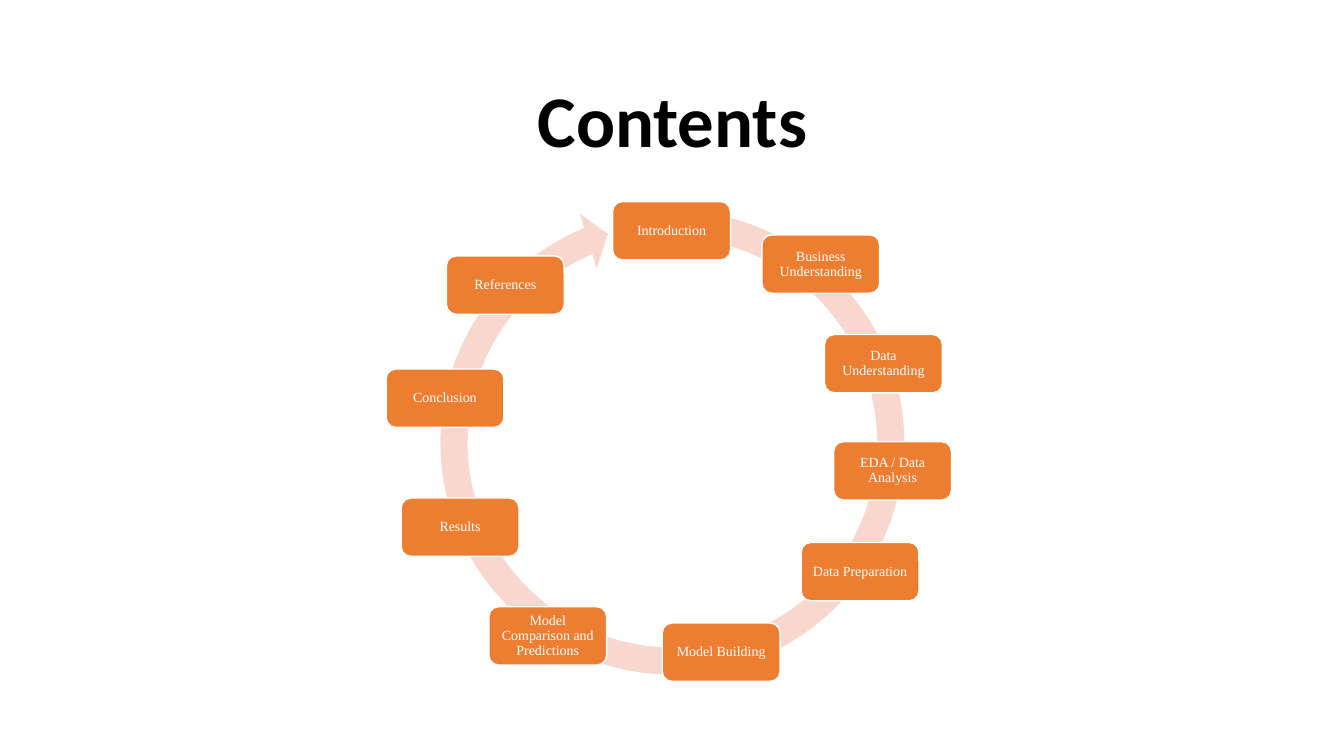
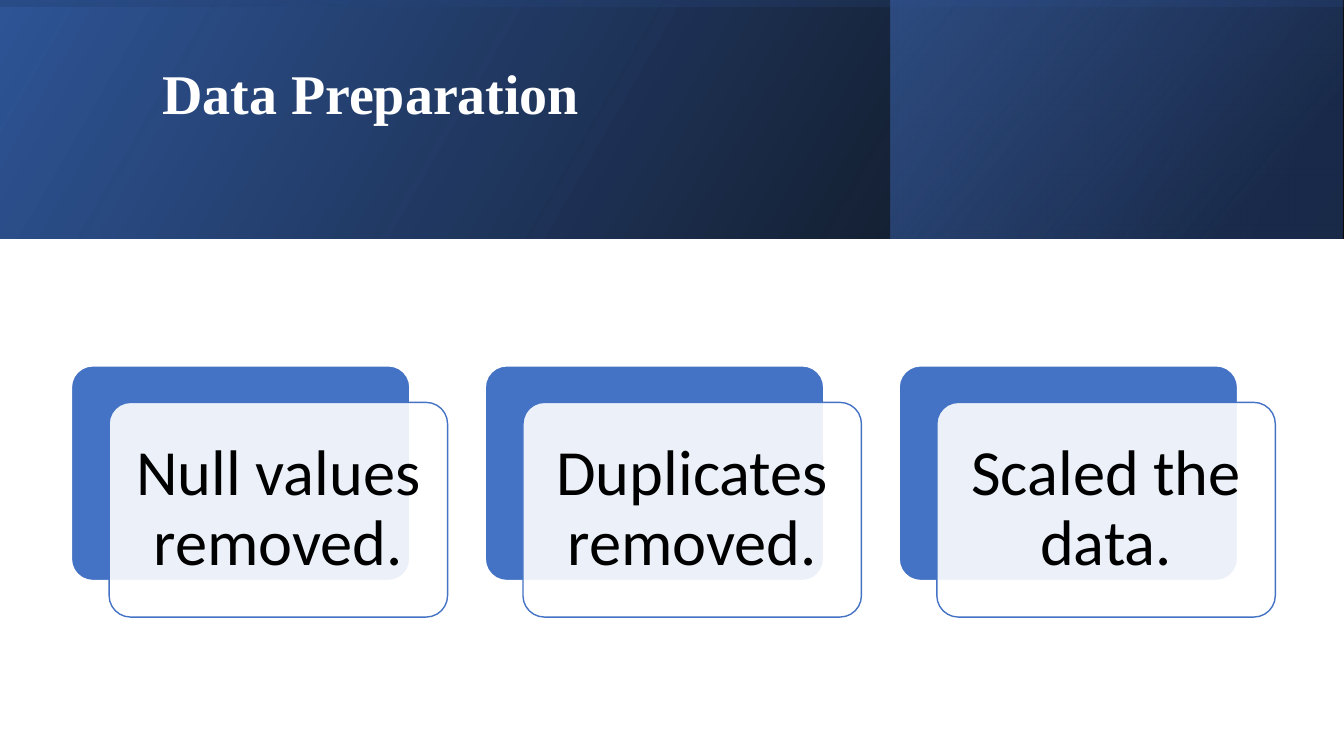
from dataclasses import dataclass

from pptx import Presentation
from pptx.dml.color import RGBColor
from pptx.enum.shapes import MSO_SHAPE
from pptx.enum.text import MSO_ANCHOR, MSO_AUTO_SIZE, PP_ALIGN
from pptx.oxml import parse_xml
from pptx.oxml.ns import nsdecls, qn
from pptx.util import Cm, Pt


@dataclass(frozen=True)
class Theme:
    white: str = "FFFFFF"
    black: str = "000000"
    orange: str = "ED7D31"
    peach: str = "F8D7CE"
    blue: str = "4472C4"
    deep_blue: str = "2F5597"
    navy: str = "203864"
    sans: str = "Calibri"
    serif: str = "Times New Roman"
    contents_size: int = 52
    heading_size: int = 40
    card_size: int = 46
    node_size: int = 10
    line_width: int = 1
    line_spacing: float = 0.9


THEME = Theme()
SLIDE_WIDTH, SLIDE_HEIGHT = 33.87, 19.05

# Contents ring: label, left, top (cm), clockwise from the top
NODES = [
    ("Introduction", 15.44, 5.08),
    ("Business Understanding", 19.2, 5.92),
    ("Data Understanding", 20.78, 8.43),
    ("EDA / Data Analysis", 21.01, 11.13),
    ("Data Preparation", 20.19, 13.67),
    ("Model Building", 16.69, 15.7),
    ("Model Comparison and Predictions", 12.32, 15.29),
    ("Results", 10.11, 12.55),
    ("Conclusion", 9.73, 9.3),
    ("References", 11.25, 6.45),
]
NODE_SIZE = (2.97, 1.47)
RING_BOX = (10.72, 4.93, 12.45, 12.45)
RING_ADJUSTMENTS = (0.055, 3.307, 148.408, 167.662, 0.058)

# Preparation steps
STEPS = ["Null values removed.", "Duplicates removed.", "Scaled the data."]
CARD_LEFT, CARD_TOP, CARD_PITCH = 1.8, 9.22, 10.43
CARD_SIZE = (8.53, 5.41)
CARD_SHIFT = (0.95, 0.92)

# Header bands: box (cm), rotation, gradient angle, stops (position, colour, opacity)
BAND_HEIGHT = 6.02
BANDS = [
    ((0, 0, SLIDE_WIDTH, BAND_HEIGHT), 0, 330,
     [(0, THEME.black, 96), (100, THEME.deep_blue, 100)]),
    ((22.45, 0, 11.38, BAND_HEIGHT), 0, 320,
     [(19, THEME.navy, 68), (100, THEME.blue, 48)]),
    (((SLIDE_WIDTH - BAND_HEIGHT) / 2, (BAND_HEIGHT - SLIDE_WIDTH) / 2,
      BAND_HEIGHT, SLIDE_WIDTH), 270, 350,
     [(23, THEME.deep_blue, 16), (99, THEME.black, 45)]),
]


def write_text(shape, text, font, size, color, align=PP_ALIGN.CENTER,
               bold=False, inset=0.25):
    frame = shape.text_frame
    frame.text = text
    frame.word_wrap = True
    frame.auto_size = MSO_AUTO_SIZE.NONE
    frame.vertical_anchor = MSO_ANCHOR.MIDDLE
    frame.margin_left = frame.margin_right = Cm(inset)
    frame.margin_top = frame.margin_bottom = Cm(inset)
    para = frame.paragraphs[0]
    para.alignment = align
    para.line_spacing = THEME.line_spacing
    span = para.runs[0]
    span.font.name = font
    span.font.size = Pt(size)
    span.font.bold = bold
    span.font.color.rgb = RGBColor.from_string(color)


def add_box(page, preset, box, fill=None, line=None):
    shape = page.shapes.add_shape(preset, *map(Cm, box))
    shape.shadow.inherit = False
    if fill:
        shape.fill.solid()
        shape.fill.fore_color.rgb = RGBColor.from_string(fill)
    if line:
        shape.line.color.rgb = RGBColor.from_string(line)
        shape.line.width = Pt(THEME.line_width)
    else:
        shape.line.fill.background()
    return shape


def set_title(page, text, box, font, size, color, align):
    title = page.shapes.title
    title.left, title.top, title.width, title.height = map(Cm, box)
    write_text(title, text, font, size, color, align, bold=True)
    # Keep the title in front of the bands
    title.element.getparent().append(title.element)


def add_band(page, box, rotation, angle, stops):
    band = add_box(page, MSO_SHAPE.RECTANGLE, box)
    band.rotation = rotation
    properties = band.element.spPr
    properties.find(qn("a:xfrm")).set("flipH", "1")
    stop_xml = "".join(
        f'<a:gs pos="{position * 1000}"><a:srgbClr val="{color}">'
        f'<a:alpha val="{opacity * 1000}"/></a:srgbClr></a:gs>'
        for position, color, opacity in stops)
    properties.find(qn("a:prstGeom")).addnext(parse_xml(
        f'<a:gradFill {nsdecls("a")} rotWithShape="1"><a:gsLst>{stop_xml}</a:gsLst>'
        f'<a:lin ang="{angle * 60000}" scaled="0"/></a:gradFill>'))


def add_card(page, left, text):
    shift_x, shift_y = CARD_SHIFT
    back = add_box(page, MSO_SHAPE.ROUNDED_RECTANGLE,
                   (left, CARD_TOP, *CARD_SIZE), THEME.blue, THEME.white)
    front = add_box(page, MSO_SHAPE.ROUNDED_RECTANGLE,
                    (left + shift_x, CARD_TOP + shift_y, *CARD_SIZE),
                    THEME.white, THEME.blue)
    for shape in (back, front):
        shape.adjustments[0] = 0.1
    color = front.element.spPr.find(qn("a:solidFill")).find(qn("a:srgbClr"))
    color.append(parse_xml(f'<a:alpha {nsdecls("a")} val="90000"/>'))
    write_text(front, text, THEME.sans, THEME.card_size, THEME.black, inset=0.48)


def build_contents(page):
    set_title(page, "Contents", (2.34, 1.55, 29.21, 3.15), THEME.sans,
              THEME.contents_size, THEME.black, PP_ALIGN.CENTER)
    ring = add_box(page, MSO_SHAPE.CIRCULAR_ARROW, RING_BOX, THEME.peach)
    for index, value in enumerate(RING_ADJUSTMENTS):
        ring.adjustments[index] = value
    for label, left, top in NODES:
        node = add_box(page, MSO_SHAPE.ROUNDED_RECTANGLE,
                       (left, top, *NODE_SIZE), THEME.orange, THEME.white)
        write_text(node, label, THEME.serif, THEME.node_size, THEME.white, inset=0.1)


def build_preparation(page):
    for band in BANDS:
        add_band(page, *band)
    set_title(page, "Data Preparation", (3.84, 0.97, 27, 2.9), THEME.serif,
              THEME.heading_size, THEME.white, PP_ALIGN.LEFT)
    for index, step in enumerate(STEPS):
        add_card(page, CARD_LEFT + index * CARD_PITCH, step)


def main():
    deck = Presentation()
    deck.slide_width, deck.slide_height = Cm(SLIDE_WIDTH), Cm(SLIDE_HEIGHT)
    title_only = deck.slide_layouts[5]
    for build in (build_contents, build_preparation):
        build(deck.slides.add_slide(title_only))
    deck.save("out.pptx")


if __name__ == "__main__":
    main()
